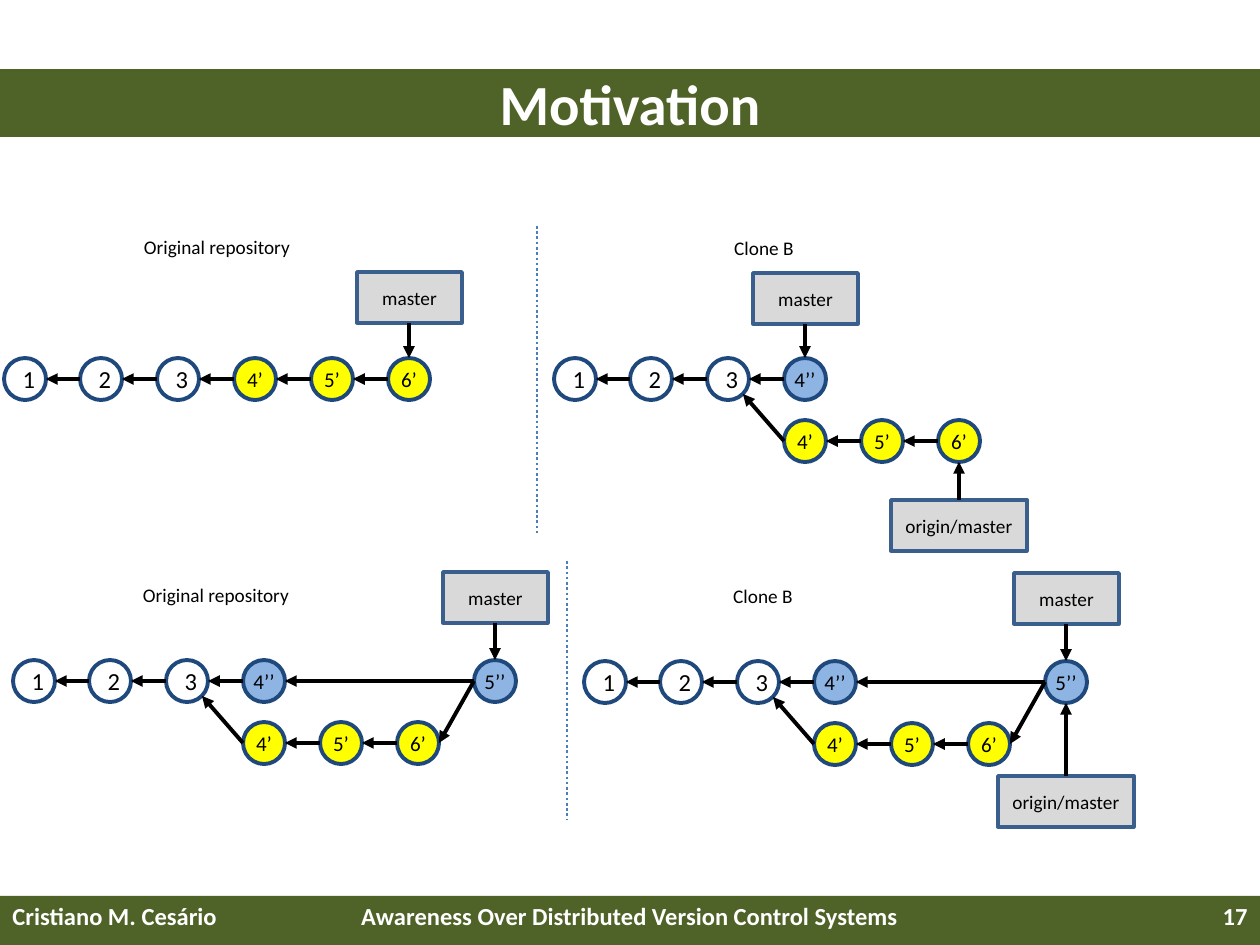
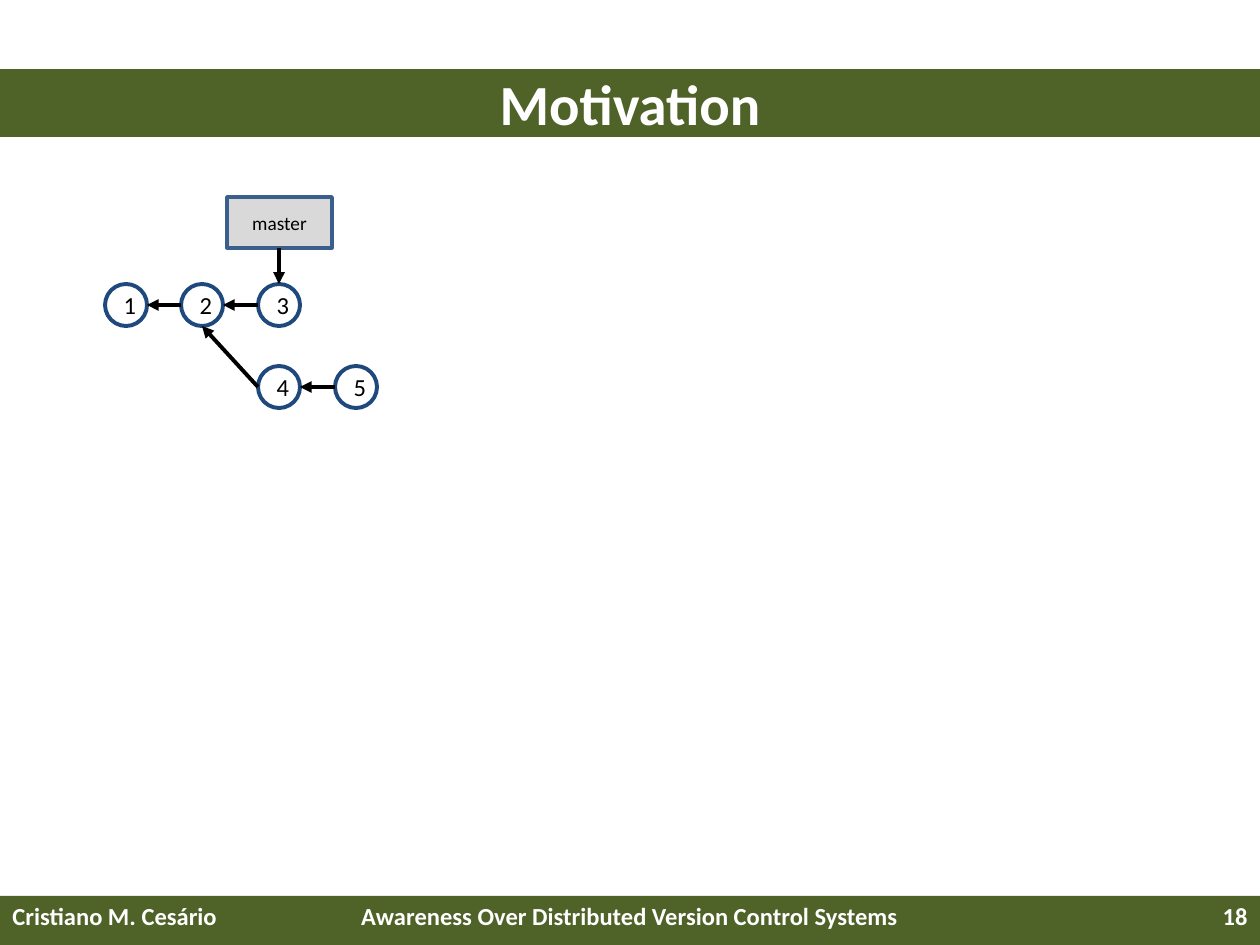
from dataclasses import dataclass
from lxml import etree
from pptx import Presentation
from pptx.dml.color import RGBColor as RGB
from pptx.enum.dml import MSO_LINE_DASH_STYLE as DASH
from pptx.enum.shapes import MSO_CONNECTOR as CONNECTOR, MSO_SHAPE as SHAPE
from pptx.enum.text import MSO_ANCHOR as ANCHOR, PP_ALIGN as ALIGN
from pptx.oxml.ns import qn
from pptx.util import Emu, Pt


@dataclass(frozen=True)
class Theme:
    font: str = "Calibri"
    band: str = "4F6228"
    white: str = "FFFFFF"
    black: str = "000000"
    ring: str = "1F497D"
    remote: str = "FFFF00"
    local: str = "8EB4E3"
    branch: str = "D9D9D9"
    branch_edge: str = "3A5F8C"
    divider: str = "4B7EBC"
    title_size: float = 32.4
    footer_size: int = 14
    number_size: int = 14
    commit_size: int = 12
    label_size: int = 11


T = Theme()
PX = 914400 / 126
WIDTH, HEIGHT = 1260, 945
DOT = 42
SPAN, STEPS = 461, 6
BOX_HEIGHT = 51


def px(*lengths):
    return [Emu(round(length * PX)) for length in lengths]


def place(slide, kind, box, text="", size=T.label_size, color=T.black, bold=False,
          align=ALIGN.CENTER, anchor=ANCHOR.MIDDLE, fill=None, edge=None, edge_width=2.25):
    if kind is None:
        shape = slide.shapes.add_textbox(*px(*box))
    else:
        shape = slide.shapes.add_shape(kind, *px(*box))
        shape.shadow.inherit = False
        if fill:
            shape.fill.solid()
            shape.fill.fore_color.rgb = RGB.from_string(fill)
        else:
            shape.fill.background()
        if edge:
            shape.line.color.rgb = RGB.from_string(edge)
            shape.line.width = Pt(edge_width)
        else:
            shape.line.fill.background()
    frame = shape.text_frame
    frame.word_wrap = True
    frame.vertical_anchor = anchor
    if text:
        frame.text = text
        paragraph = frame.paragraphs[0]
        paragraph.alignment = align
        font = paragraph.runs[0].font
        font.name, font.size, font.bold = T.font, Pt(size), bold
        font.color.rgb = RGB.from_string(color)
    return shape


def draw_line(slide, start, end, color=T.black, width=2.25, arrow=True):
    line = slide.shapes.add_connector(CONNECTOR.STRAIGHT, *px(*start, *end))
    line.line.color.rgb = RGB.from_string(color)
    line.line.width = Pt(width)
    if arrow:
        etree.SubElement(line.line._get_or_add_ln(), qn("a:tailEnd"), type="triangle")
    else:
        line.line.dash_style = DASH.ROUND_DOT
    etree.SubElement(line._element.spPr, qn("a:effectLst"))


trunk = {"1": (0, 0), "2": (1, 0), "3": (2, 0)}
trunk_links = [("2", "1", "right"), ("3", "2", "right")]
forked = trunk | {"4’’": (3, 0), "4’": (3, 1), "5’": (4, 1), "6’": (5, 1)}
forked_links = trunk_links + [("4’’", "3", "right"), ("4’", "3", "corner"),
                              ("5’", "4’", "right"), ("6’", "5’", "right")]
merged = forked | {"5’’": (6, 0)}
merged_links = forked_links + [("5’’", "4’’", "right"), ("5’’", "6’", "right")]

slides = [
    {
        "number": "17",
        "captions": [("Original repository", 127, 221), ("Clone B", 674, 222),
                     ("Original repository", 126, 569), ("Clone B", 673, 570)],
        "dividers": [(537, 226, 533), (567, 561, 819)],
        "graphs": [
            {"origin": (4, 358), "drop": 62,
             "commits": trunk | {"4’": (3, 0), "5’": (4, 0), "6’": (5, 0)},
             "links": trunk_links + [("4’", "3", "right"), ("5’", "4’", "right"),
                                     ("6’", "5’", "right")],
             "branches": [("master", "6’", 272)]},
            {"origin": (554, 358), "drop": 62, "commits": forked, "links": forked_links,
             "branches": [("master", "4’’", 273), ("origin/master", "6’", 500)]},
            {"origin": (13, 660), "drop": 62, "commits": merged, "links": merged_links,
             "branches": [("master", "5’’", 572)]},
            {"origin": (584, 661), "drop": 62, "commits": merged, "links": merged_links,
             "branches": [("master", "5’’", 573), ("origin/master", "5’’", 776)]},
        ],
    },
    {
        "number": "18",
        "captions": [],
        "dividers": [],
        "graphs": [
            {"origin": (105, 284), "drop": 82,
             "commits": trunk | {"4": (2, 1), "5": (3, 1)},
             "links": trunk_links + [("4", "2", "bottom"), ("5", "4", "right")],
             "branches": [("master", "3", 197)]},
        ],
    },
]
ports = {"right": (DOT, DOT // 2), "corner": (36, 36), "bottom": (DOT // 2, DOT)}
branch_widths = {"master": 105, "origin/master": 136}

deck = Presentation()
deck.slide_width, deck.slide_height = px(WIDTH, HEIGHT)

for content in slides:
    slide = deck.slides.add_slide(deck.slide_layouts[6])
    place(slide, SHAPE.RECTANGLE, (0, 896, WIDTH, 49), fill=T.band)
    for text, left, width, align in [
        ("Cristiano M. Cesário", 0, 294, ALIGN.LEFT),
        ("Awareness Over Distributed Version Control Systems", 304, 651, ALIGN.CENTER),
        (content["number"], 966, 294, ALIGN.RIGHT),
    ]:
        place(slide, None, (left, 895, width, 50), text, T.footer_size, T.white, True,
              align, ANCHOR.TOP)
    place(slide, SHAPE.RECTANGLE, (0, 69, WIDTH, 68), "Motivation", T.title_size,
          T.white, True, fill=T.band)

    for caption, left, top in content["captions"]:
        place(slide, None, (left, top, 180, 51), caption)
    for x, top, bottom in content["dividers"]:
        draw_line(slide, (x, top), (x, bottom), T.divider, 1.5, arrow=False)

    for graph in content["graphs"]:
        left, top = graph["origin"]
        spots = {commit: (left + column * SPAN // STEPS, top + row * graph["drop"])
                 for commit, (column, row) in graph["commits"].items()}
        for commit, (x, y) in spots.items():
            primed = commit.endswith("’")
            fill = T.local if commit.endswith("’’") else T.remote if primed else None
            dot = place(slide, SHAPE.OVAL, (x, y, DOT, DOT), commit,
                        T.commit_size if primed else T.number_size, fill=fill, edge=T.ring)
            if primed:
                dot.text_frame.margin_left = dot.text_frame.margin_right = 0

        for child, parent, port in graph["links"]:
            (x, y), (parent_x, parent_y) = spots[child], spots[parent]
            dx, dy = ports[port]
            draw_line(slide, (x, y + DOT // 2), (parent_x + dx, parent_y + dy))

        for branch, commit, box_top in graph["branches"]:
            x, y = spots[commit]
            center, width = x + DOT // 2, branch_widths[branch]
            place(slide, SHAPE.RECTANGLE, (center - width // 2, box_top, width, BOX_HEIGHT),
                  branch, fill=T.branch, edge=T.branch_edge, edge_width=2)
            above = box_top < y
            draw_line(slide, (center, box_top + BOX_HEIGHT if above else box_top),
                      (center, y if above else y + DOT))

deck.save("out.pptx")
